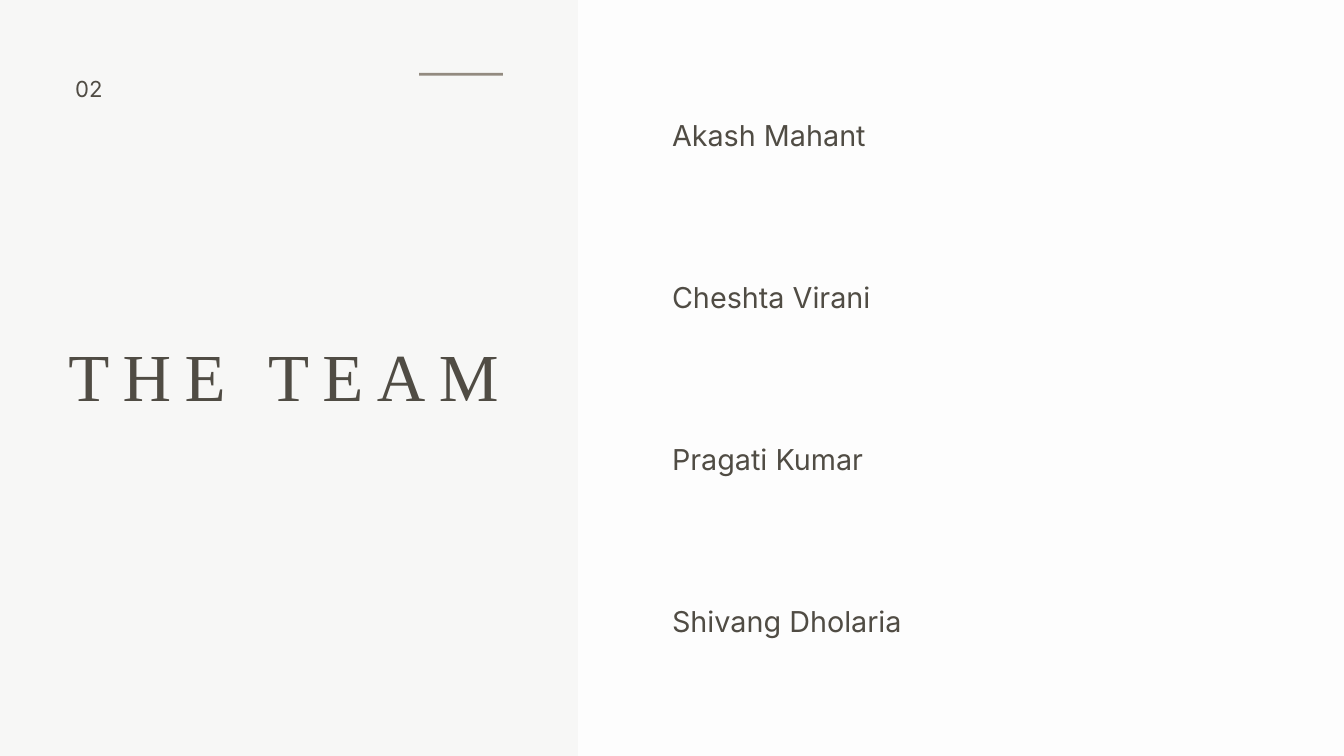
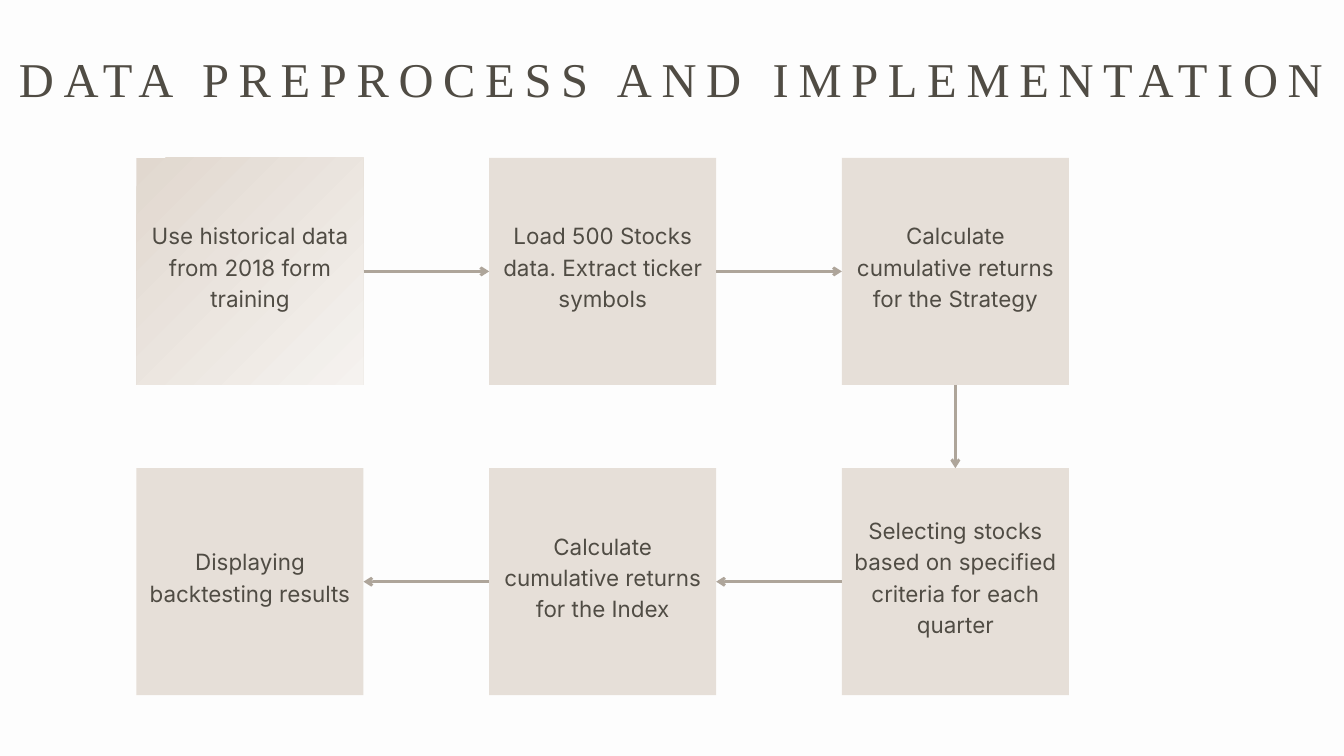
from lxml.etree import SubElement
from pptx import Presentation
from pptx.dml.color import RGBColor
from pptx.enum.shapes import MSO_CONNECTOR, MSO_SHAPE
from pptx.enum.text import MSO_ANCHOR, MSO_AUTO_SIZE, PP_ALIGN
from pptx.oxml.ns import qn
from pptx.util import Cm, Pt

INK = RGBColor(0x50, 0x4C, 0x44)
PAPER = RGBColor(0xFD, 0xFD, 0xFD)
TAUPE = RGBColor(0x93, 0x8B, 0x80)
ARROW = RGBColor(0xAE, 0xA5, 0x9A)
SAND = RGBColor(0xE6, 0xDF, 0xD8)
START_FADE = (RGBColor(0xE1, 0xD8, 0xCF), RGBColor(0xF5, 0xF2, 0xEF))

TITLE_FONT = "Times New Roman"
BODY_FONT = "Inter"

TEAM_TITLE = "THE TEAM"
TEAM_NUMBER = "02"
TEAM = ["Akash Mahant", "Cheshta Virani", "Pragati Kumar", "Shivang Dholaria"]
NAME_LINE = 37
NAME_PITCH = 173.5

PROCESS_TITLE = "DATA PREPROCESS AND IMPLEMENTATION"
STEPS = [
    ("Use historical data from 2018 form training", 0, 0),
    ("Load 500 Stocks data. Extract ticker symbols", 1, 0),
    ("Calculate cumulative returns for the Strategy", 2, 0),
    ("Selecting stocks based on specified criteria for each quarter", 2, 1),
    ("Calculate cumulative returns for the Index", 1, 1),
    ("Displaying backtesting results", 0, 1),
]
STEP_SIZE = 8.58
GRID_LEFT, GRID_TOP = 5.16, 5.97
COLUMN_PITCH, ROW_PITCH = 13.33, 11.73
TOP, LEFT, BOTTOM, RIGHT = range(4)
SITES = {(1, 0): (RIGHT, LEFT), (-1, 0): (LEFT, RIGHT), (0, 1): (BOTTOM, TOP)}


def place(shape, left, top, width, height):
    shape.left, shape.top = Cm(left), Cm(top)
    shape.width, shape.height = Cm(width), Cm(height)


def set_frame(frame, anchor=MSO_ANCHOR.TOP, inset=0, bottom=0):
    frame.word_wrap = True
    frame.auto_size = MSO_AUTO_SIZE.NONE
    frame.vertical_anchor = anchor
    frame.margin_left = frame.margin_right = frame.margin_top = Cm(inset)
    frame.margin_bottom = Cm(bottom)


def style(para, font, size, line, align=PP_ALIGN.LEFT):
    para.font.name = font
    para.font.size = Pt(size)
    para.font.color.rgb = INK
    para.line_spacing = Pt(line)
    para.alignment = align


def add_title(page, text, area, size, line):
    title = page.shapes.title
    place(title, *area)
    set_frame(title.text_frame)
    title.text_frame.text = text
    para = title.text_frame.paragraphs[0]
    style(para, TITLE_FONT, size, line, PP_ALIGN.CENTER)
    para.runs[0].font._element.set("spc", str(int(size * 20)))


def add_block(page, left, top, width, height, color):
    block = page.shapes.add_shape(
        MSO_SHAPE.RECTANGLE, Cm(left), Cm(top), Cm(width), Cm(height))
    block.shadow.inherit = False
    block.line.fill.background()
    block.fill.solid()
    block.fill.fore_color.rgb = color
    return block


def add_step(page, text, column, row):
    step = add_block(page, GRID_LEFT + column * COLUMN_PITCH,
                     GRID_TOP + row * ROW_PITCH, STEP_SIZE, STEP_SIZE, SAND)
    set_frame(step.text_frame, MSO_ANCHOR.MIDDLE, 0.15, 0.64)
    step.text_frame.text = text
    style(step.text_frame.paragraphs[0], BODY_FONT, 24, 33.6, PP_ALIGN.CENTER)
    return step


def add_arrow(page, start, start_site, end, end_site):
    arrow = page.shapes.add_connector(MSO_CONNECTOR.STRAIGHT, 0, 0, 0, 0)
    arrow.begin_connect(start, start_site)
    arrow.end_connect(end, end_site)
    arrow.line.color.rgb = ARROW
    arrow.line.width = Pt(3)
    SubElement(arrow.line._get_or_add_ln(), qn("a:tailEnd"), type="arrow")
    SubElement(arrow._element.spPr, qn("a:effectLst"))


def build_team(deck):
    page = deck.slides.add_slide(deck.slide_layouts[1])
    panel = add_block(page, 0, 0, 21.84, 28.58, TAUPE)
    color = panel.fill._xPr.find(qn("a:solidFill"))[0]
    SubElement(color, qn("a:alpha"), val="5000")
    page.shapes._spTree.insert(2, panel._element)
    add_block(page, 15.84, 2.76, 3.17, 0.1, TAUPE)
    add_title(page, TEAM_TITLE, (2.44, 13.18, 16.56, 2.62), 72, 70.6)

    number = page.shapes.add_textbox(Cm(2.84), Cm(2.69), Cm(4.24), Cm(1.17))
    set_frame(number.text_frame)
    number.text_frame.text = TEAM_NUMBER
    style(number.text_frame.paragraphs[0], BODY_FONT, 23.7, 33.2)

    names = page.placeholders[1]
    place(names, 25.4, 4.45, 13.28, 19.66)
    set_frame(names.text_frame)
    names.text_frame.text = "\n".join(TEAM)
    for index, para in enumerate(names.text_frame.paragraphs):
        style(para, BODY_FONT, 30.8, NAME_LINE)
        para.space_before = Pt(NAME_PITCH - NAME_LINE if index else 0)
        para.space_after = Pt(0)
        properties = para._p.get_or_add_pPr()
        properties.set("marL", "0")
        properties.set("indent", "0")
        bullet = SubElement(properties, qn("a:buNone"))
        properties.find(qn("a:defRPr")).addprevious(bullet)


def build_process(deck):
    page = deck.slides.add_slide(deck.slide_layouts[5])
    add_title(page, PROCESS_TITLE, (0.41, 1.5, 49.96, 2.46), 52, 72.8)
    boxes = [add_step(page, *step) for step in STEPS]
    fade = boxes[0].fill
    fade.gradient()
    fade.gradient_angle = 315
    for stop, color in zip(fade.gradient_stops, START_FADE):
        stop.color.rgb = color
    for index in range(len(STEPS) - 1):
        _, column, row = STEPS[index]
        _, next_column, next_row = STEPS[index + 1]
        start_site, end_site = SITES[next_column - column, next_row - row]
        add_arrow(page, boxes[index], start_site, boxes[index + 1], end_site)


def main():
    deck = Presentation()
    deck.slide_width, deck.slide_height = Cm(50.8), Cm(28.58)
    background = deck.slide_master.background.fill
    background.solid()
    background.fore_color.rgb = PAPER
    build_team(deck)
    build_process(deck)
    deck.save("out.pptx")


if __name__ == "__main__":
    main()
